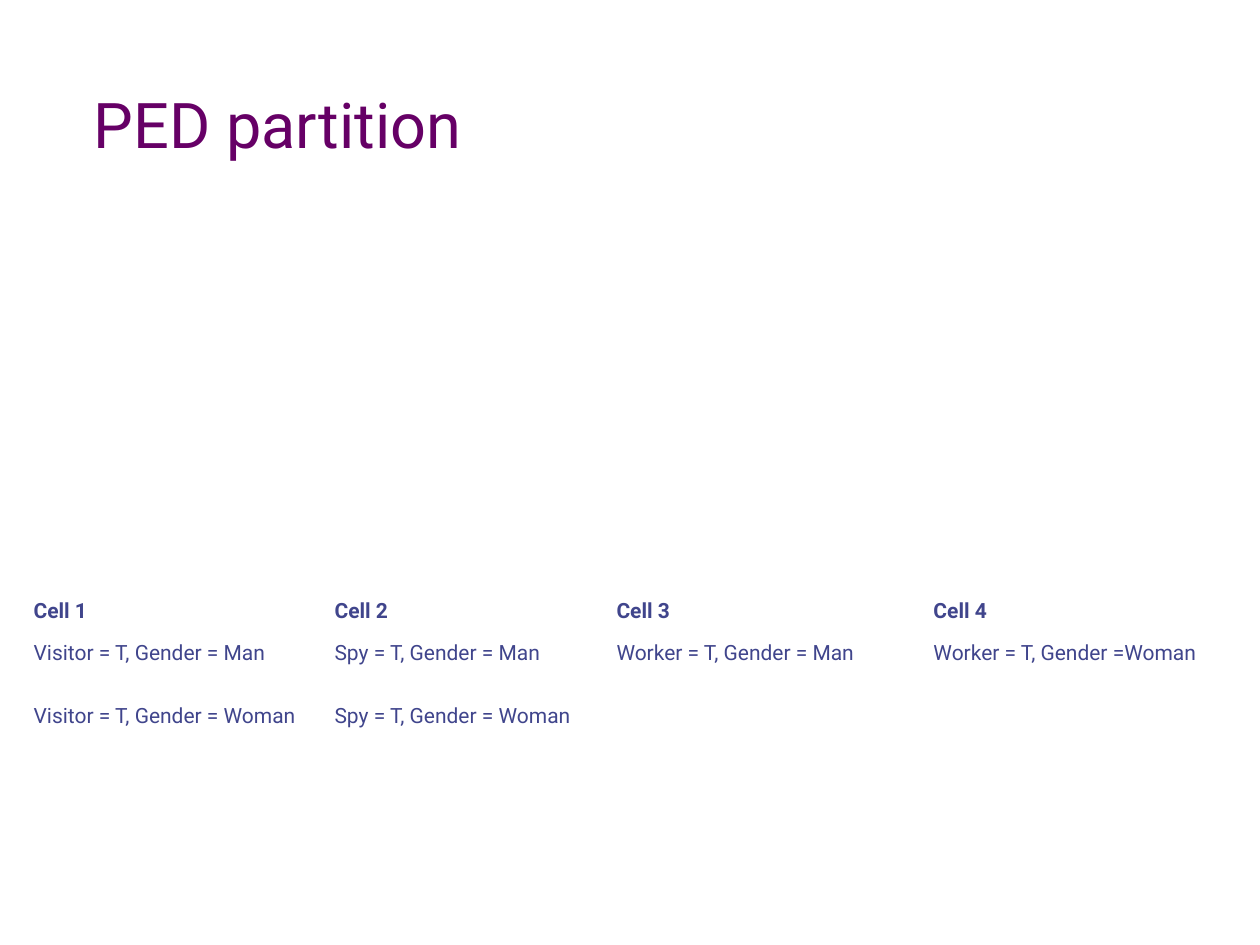
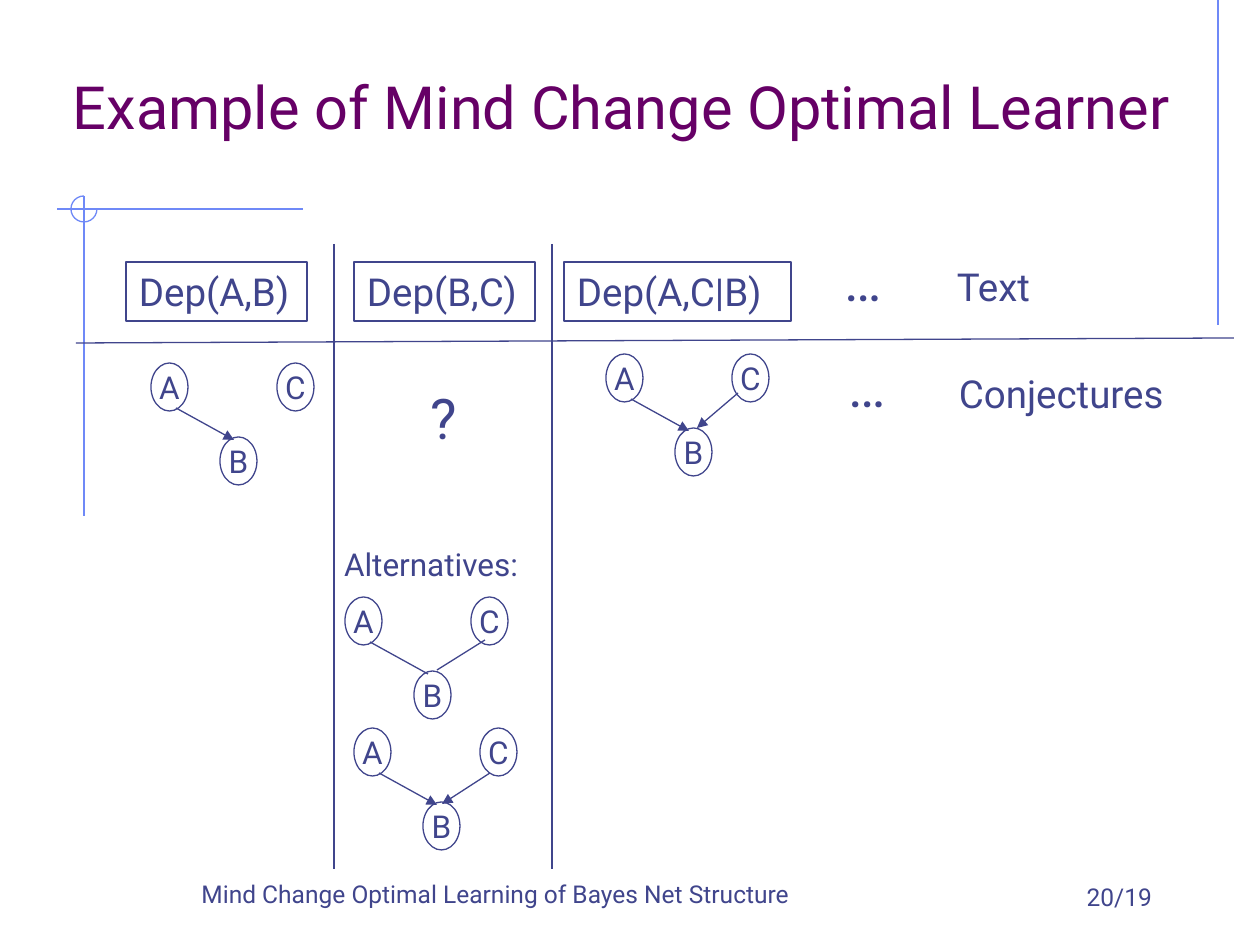
import pptx
import pptx.util
import pptx.dml.color
import pptx.enum.shapes
import pptx.enum.text
import pptx.oxml
import pptx.oxml.ns
from lxml import etree

PX_PER_INCH = 126
FONT = "Roboto"
COLORS = {"title": "660066", "ink": "40458C", "accent": "6F89F7", "paper": "FFFFFF"}
SHAPES = pptx.enum.shapes.MSO_SHAPE
ALIGN = pptx.enum.text.PP_ALIGN
ANCHOR = pptx.enum.text.MSO_ANCHOR


def px(length):
    return round(length * 914400 / PX_PER_INCH)


def rgb(name):
    return pptx.dml.color.RGBColor.from_string(COLORS[name])


def write(frame, text, size, color="ink", bold=False, align=ALIGN.LEFT):
    frame.text = text
    paragraph = frame.paragraphs[0]
    paragraph.alignment = align
    font = paragraph.font
    for run in paragraph.runs:
        font = run.font
    font.name, font.size, font.bold = FONT, pptx.util.Pt(size), bold
    font.color.rgb = rgb(color)


def set_insets(frame, horizontal, vertical):
    frame.margin_left = frame.margin_right = px(horizontal)
    frame.margin_top = frame.margin_bottom = px(vertical)


def add_label(slide, box, text, size, color="ink", align=ALIGN.LEFT,
              anchor=ANCHOR.TOP, insets=(13, 6)):
    frame = slide.shapes.add_textbox(*map(px, box)).text_frame
    frame.word_wrap = True
    frame.vertical_anchor = anchor
    set_insets(frame, *insets)
    write(frame, text, size, color, align=align)


def add_title(slide, box, text, size):
    add_label(slide, box, text, size, "title", anchor=ANCHOR.BOTTOM, insets=(10, 3))


def add_line(slide, start, end, color="ink", arrow=False):
    line = slide.shapes.add_connector(
        pptx.enum.shapes.MSO_CONNECTOR.STRAIGHT, *map(px, (*start, *end)))
    line.line.color.rgb = rgb(color)
    line.line.width = pptx.util.Pt(0.75)
    if arrow:
        etree.SubElement(line.line._get_or_add_ln(),
                         pptx.oxml.ns.qn("a:tailEnd"), type="triangle")
    etree.SubElement(line._element.spPr, pptx.oxml.ns.qn("a:effectLst"))


def add_outline(slide, preset, box, color="ink"):
    shape = slide.shapes.add_shape(preset, *map(px, box))
    shape.shadow.inherit = False
    shape.fill.background()
    shape.line.color.rgb = rgb(color)
    shape.line.width = pptx.util.Pt(0.75)
    return shape


# Partition table
def set_borders(cell, widths):
    """Add white left, right, top and bottom borders, in points."""
    properties = cell._tc.get_or_add_tcPr()
    for index, (side, width) in enumerate(zip("LRTB", widths)):
        border = pptx.oxml.parse_xml(
            f'<a:ln{side} {pptx.oxml.ns.nsdecls("a")} w="{pptx.util.Pt(width)}">'
            f'<a:solidFill><a:srgbClr val="{COLORS["paper"]}"/></a:solidFill></a:ln{side}>')
        properties.insert(index, border)


def add_partition(slide, left, top, column_widths, row_heights, rows):
    table = slide.shapes.add_table(
        len(rows), len(column_widths),
        *map(px, (left, top, sum(column_widths), sum(row_heights)))).table
    table.first_row = table.horz_banding = False
    for column, width in zip(table.columns, column_widths):
        column.width = px(width)
    for r, (height, texts) in enumerate(zip(row_heights, rows)):
        table.rows[r].height = px(height)
        for c, text in enumerate(texts):
            cell = table.cell(r, c)
            write(cell.text_frame, text, 12, bold=r == 0)
            cell.fill.background()
            set_borders(cell, (0.45, 0.45, 0.96 if r == 1 else 0.45, 0.96 if r == 0 else 0.45))


# Corner rules of the slide design
def add_corner_rules(slide, x, y):
    radius = 13
    add_line(slide, (1218, 0), (1218, 325), "accent")
    add_line(slide, (x + 219, y), (x - 27, y), "accent")
    add_line(slide, (x, y - radius), (x, y + 307), "accent")
    arc = add_outline(slide, SHAPES.ARC,
                      (x - radius, y - radius, 2 * radius, 2 * radius), "accent")
    arc.adjustments[0] = 0
    arc.adjustments[1] = 162  # 270 degrees


# Observation in a frame
def add_observation(slide, box, text):
    frame = add_outline(slide, SHAPES.RECTANGLE, box).text_frame
    frame.word_wrap = True
    frame.vertical_anchor = ANCHOR.TOP
    set_insets(frame, 13, 6)
    write(frame, text, 22)


# Network over A, B and C
def add_network(slide, left, top, c_edge=None, arrows=True):
    """Join A to B, and C to B if the ends of that edge are given."""
    for name, dx, dy in (("B", 69, 74), ("C", 126, 0), ("A", 0, 0)):
        frame = add_outline(slide, SHAPES.OVAL, (left + dx, top + dy, 37, 48)).text_frame
        frame.word_wrap = False
        frame.vertical_anchor = ANCHOR.MIDDLE
        set_insets(frame, 0, 0)
        write(frame, name, 18, align=ALIGN.CENTER)
    edges = [((25, 45), (83, 77))] + ([c_edge] if c_edge else [])
    for edge in edges:
        start, end = ((left + dx, top + dy) for dx, dy in edge)
        add_line(slide, start, end, arrow=arrows)


def build_partition_slide(slide):
    add_title(slide, (84, 42, 1071, 122), "PED partition", 36)
    add_partition(slide, 21, 593, (301, 282, 317, 339), (42, 63, 63), (
        ("Cell 1", "Cell 2", "Cell 3", "Cell 4"),
        ("Visitor = T, Gender = Man", "Spy = T, Gender = Man",
         "Worker = T, Gender = Man", "Worker = T, Gender =Woman"),
        ("Visitor = T, Gender = Woman", "Spy = T, Gender = Woman", "", "")))


def build_learner_slide(slide):
    add_corner_rules(slide, 84, 209)
    add_title(slide, (63, 42, 1169, 102), "Example of Mind Change Optimal Learner", 34)

    # Footer and page number
    add_label(slide, (149, 871, 693, 43), "Mind Change Optimal Learning of Bayes Net Structure",
              14, align=ALIGN.CENTER, anchor=ANCHOR.BOTTOM)
    add_label(slide, (903, 882, 262, 63), "20/19", 14, align=ALIGN.RIGHT, insets=(13, 0))

    # Grid of observations and conjectures
    add_line(slide, (76, 343), (1234, 338))
    for x in (334, 552):
        add_line(slide, (x, 244), (x, 869))
    for left, width, text in ((126, 181, "Dep(A,B)"), (354, 181, "Dep(B,C)"),
                              (564, 227, "Dep(A,C|B)")):
        add_observation(slide, (left, 262, width, 59), text)
    for box, text, size in (((418, 377, 52, 81), "?", 32),
                            ((832, 239, 71, 81), "…", 32),
                            ((835, 345, 71, 81), "…", 32),
                            ((944, 257, 102, 59), "Text", 22),
                            ((946, 364, 239, 59), "Conjectures", 22),
                            ((331, 539, 209, 50), "Alternatives:", 18)):
        add_label(slide, box, text, size)

    # Conjectured networks, then the two alternatives
    add_network(slide, 151, 363)
    add_network(slide, 606, 354, ((132, 39), (91, 74)))
    add_network(slide, 345, 597, ((140, 43), (92, 73)), arrows=False)
    add_network(slide, 354, 728, ((136, 45), (88, 76)))


def main():
    deck = pptx.Presentation()
    deck.slide_width, deck.slide_height = px(1260), px(945)
    for build in (build_partition_slide, build_learner_slide):
        build(deck.slides.add_slide(deck.slide_layouts[6]))
    deck.save("out.pptx")


if __name__ == "__main__":
    main()
